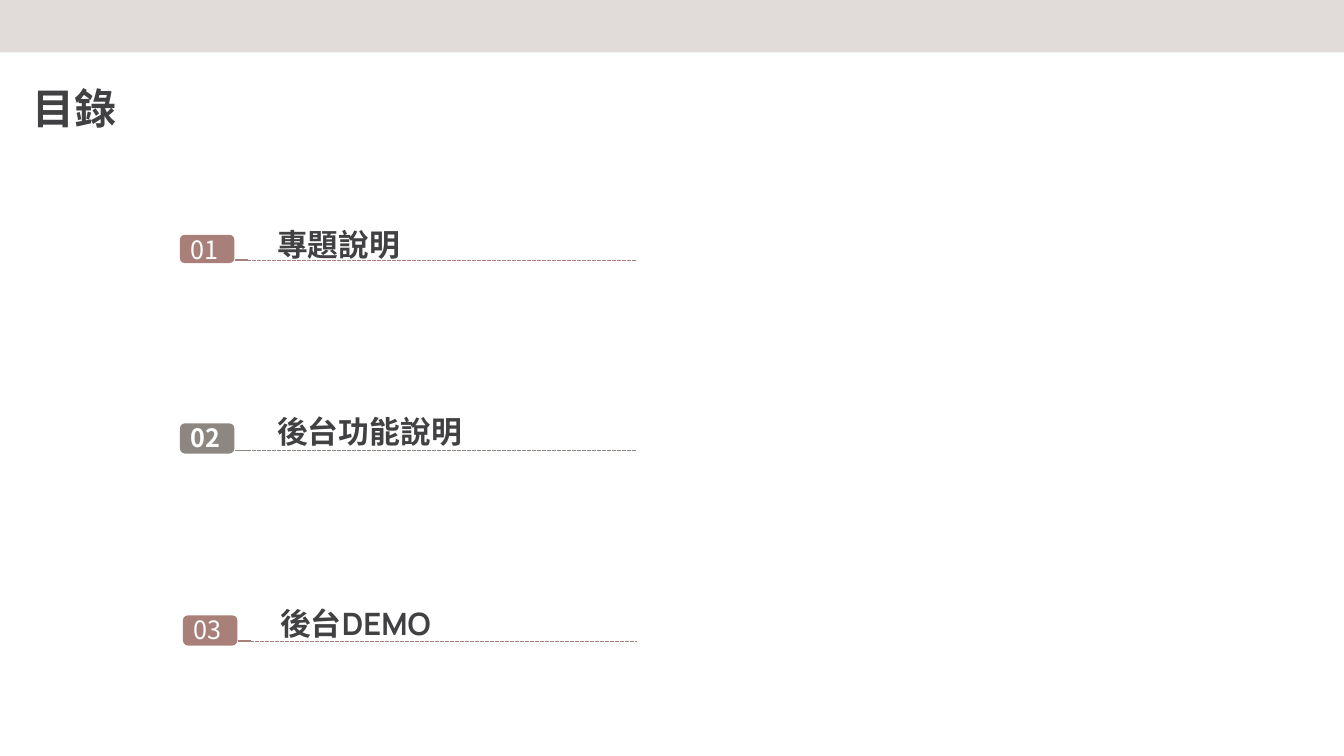
from dataclasses import dataclass

from lxml import etree
from pptx import Presentation
from pptx.dml.color import RGBColor
from pptx.enum.dml import MSO_LINE
from pptx.enum.shapes import MSO_CONNECTOR, MSO_SHAPE
from pptx.enum.text import MSO_AUTO_SIZE
from pptx.oxml.ns import qn
from pptx.util import Inches, Pt

RECTANGLE = MSO_SHAPE.RECTANGLE
ROUNDED = MSO_SHAPE.ROUNDED_RECTANGLE
STRAIGHT = MSO_CONNECTOR.STRAIGHT
DASH = MSO_LINE.DASH
GROW = MSO_AUTO_SIZE.SHAPE_TO_FIT_TEXT

# The page is a grid of one-inch columns and rows
COLUMNS, ROWS = 26.67, 15
FIRST_RULE, ENTRY_PITCH = 5.16, 3.78
RULE_END = 12.62

INK, WHITE, BAND = "414143", "FFFFFF", "E1DCD9"
ROSE, STONE = "A98079", "8E8781"


@dataclass(frozen=True)
class Entry:
    """A contents line; rises are measured upwards from its rule."""
    number: str
    title: str
    color: str
    badge_rise: float
    badge_height: float
    title_rise: float
    bold: bool = False
    shift: float = 0


ENTRIES = [
    Entry("01", "專題說明", ROSE, 0.5, 0.56, 0.68),
    Entry("02", "後台功能說明", STONE, 0.54, 0.6, 0.76, bold=True),
    Entry("03", "後台DEMO", ROSE, 0.51, 0.6, 0.73, shift=0.06),
]


def rgb(color: str) -> RGBColor:
    return RGBColor.from_string(color)


def cells(*lengths: float) -> list[int]:
    return [Inches(length) for length in lengths]


def add_block(page, kind, left: float, top: float, width: float,
              height: float, color: str) -> None:
    block = page.shapes.add_shape(kind, *cells(left, top, width, height))
    block.shadow.inherit = False
    block.fill.solid()
    block.fill.fore_color.rgb = rgb(color)
    block.line.fill.background()


def add_rule(page, start: float, end: float, row: float, color: str,
             weight: float, dash=None) -> None:
    rule = page.shapes.add_connector(STRAIGHT, *cells(start, row, end, row))
    rule.line.color.rgb = rgb(color)
    rule.line.width = Pt(weight)
    if dash is not None:
        rule.line.dash_style = dash
    etree.SubElement(rule._element.spPr, qn("a:effectLst"))


def add_text(page, text: str, left: float, top: float, width: float,
             height: float, *, size: float, font: str, color: str = INK,
             bold: bool = False, insets: tuple[float, float] = (0, 0),
             spacing: float | None = None, grow: bool = True) -> None:
    box = page.shapes.add_textbox(*cells(left, top, width, height))
    frame = box.text_frame
    frame.word_wrap = True
    frame.margin_left = frame.margin_right = Inches(insets[0])
    frame.margin_top = frame.margin_bottom = Inches(insets[1])
    if grow:
        frame.auto_size = GROW
    para = frame.paragraphs[0]
    if spacing is not None:
        para.line_spacing = spacing
    span = para.add_run()
    span.text = text
    span.font.size = Pt(size)
    span.font.name = font
    span.font.bold = bold
    span.font.color.rgb = rgb(color)


def add_entry(page, entry: Entry, row: float) -> None:
    # Short solid tick, then the long dashed rule
    rule_start = 4.92 + entry.shift
    add_rule(page, rule_start, rule_start - 0.25, row, entry.color, 2)
    add_rule(page, rule_start, RULE_END, row, entry.color, 0.25, DASH)

    # Number badge
    badge_top = row - entry.badge_rise
    add_block(page, ROUNDED, 3.57 + entry.shift, badge_top, 1.08,
              entry.badge_height, entry.color)
    add_text(page, entry.number, 3.68 + entry.shift, badge_top - 0.07,
             0.96, 0.71, size=36, font="Noto Sans CJK TC", color=WHITE,
             bold=entry.bold, insets=(0.1, 0.05))

    # Section title
    add_text(page, entry.title, 5.5 + entry.shift, row - entry.title_rise,
             5.15, 0.74, size=44, font="Manrope", bold=True)


def main() -> None:
    deck = Presentation()
    deck.slide_width, deck.slide_height = cells(COLUMNS, ROWS)
    page = deck.slides.add_slide(deck.slide_layouts[6])

    # Heading and top band
    add_text(page, "目錄", 0.61, 1.39, 7.64, 1.73, size=60, font="Arial",
             bold=True, insets=(0.04, 0.04), spacing=1.2, grow=False)
    add_block(page, RECTANGLE, 0, -0.06, COLUMNS, 1.1, BAND)

    # Contents list
    for index, entry in enumerate(ENTRIES):
        add_entry(page, entry, FIRST_RULE + index * ENTRY_PITCH)

    deck.save("out.pptx")


if __name__ == "__main__":
    main()
